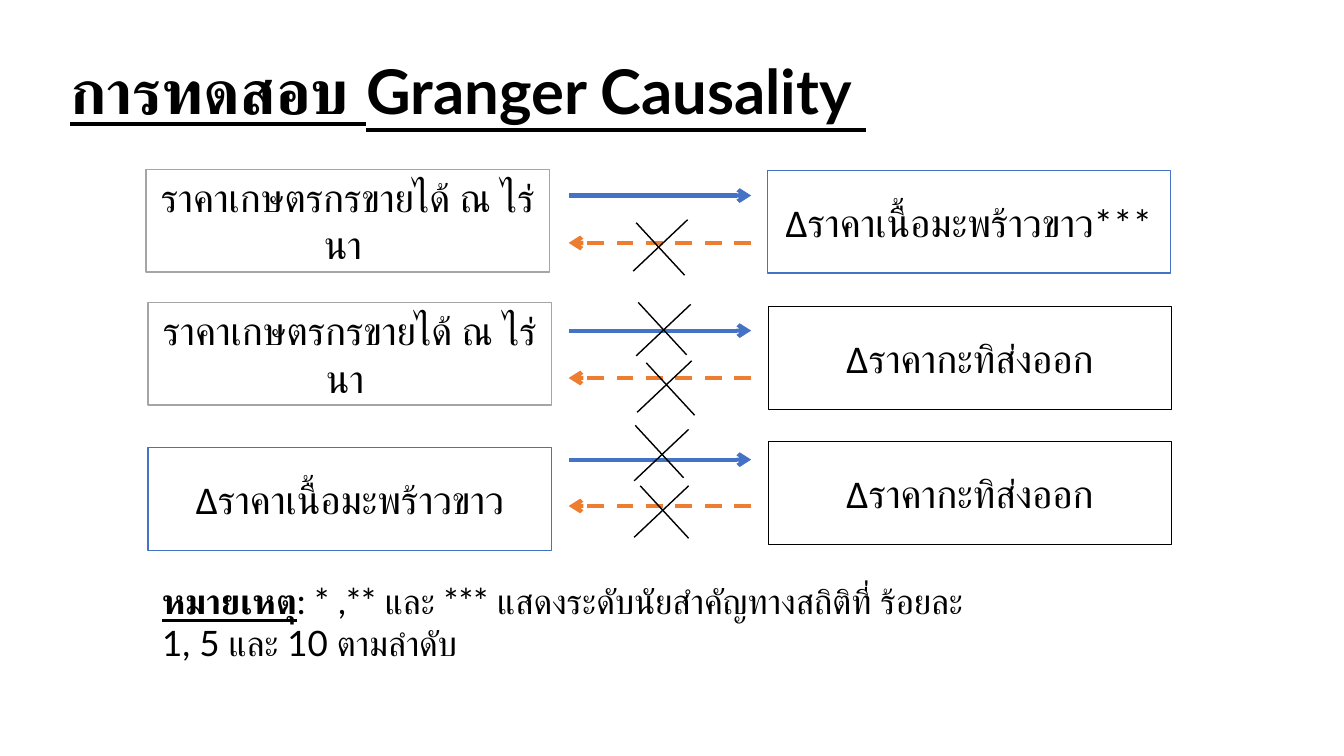
from pptx import Presentation
from pptx import util as u
from pptx.dml.color import RGBColor
from pptx.enum import dml, lang, shapes, text
from pptx.oxml.ns import qn
from lxml import etree

COLORS = {"black": "000000", "white": "FFFFFF", "gray": "A5A5A5",
          "blue": "4472C4", "orange": "ED7D31"}

TITLE = "การทดสอบ Granger Causality "
NOTE_LABEL = "หมายเหตุ"
NOTE = ": * ,** และ *** แสดงระดับนัยสำคัญทางสถิติที่ ร้อยละ 1, 5 และ 10 ตามลำดับ"
FARM_PRICE = "ราคาเกษตรกรขายได้ ณ ไร่นา "
COCONUT_PRICE = "Δราคาเนื้อมะพร้าวขาว"
MILK_PRICE = "Δราคากะทิส่งออก"

BOX_WIDTH, BOX_HEIGHT = 4, 1.02
BOXES = [
    (FARM_PRICE, 1.45, 1.68, "gray", "Arial"),
    (COCONUT_PRICE + "***", 7.61, 1.69, "blue", "Calibri"),
    (FARM_PRICE, 1.47, 3, "gray", "Arial"),
    (MILK_PRICE, 7.62, 3.04, "black", "Calibri"),
    (COCONUT_PRICE, 1.47, 4.44, "blue", "Calibri"),
    (MILK_PRICE, 7.62, 4.38, "black", "Calibri"),
]

ARROW_LEFT, ARROW_RIGHT = 5.64, 7.45
ARROW_ROWS = [(1.94, 2.41), (3.28, 3.75), (4.56, 5.02)]

FALL_WIDTH, FALL_HEIGHT = 0.48, 0.52
RISE_WIDTH, RISE_HEIGHT = 0.54, 0.51
CROSSES = [
    ((6.31, 2.21), (6.28, 2.18)),
    ((6.33, 3), (6.31, 3.02)),
    ((6.41, 3.6), (6.32, 3.58)),
    ((6.3, 4.22), (6.29, 4.26)),
    ((6.35, 4.82), (6.29, 4.82)),
]


def rgb(name):
    return RGBColor.from_string(COLORS[name])


def write(shape, content, size, font, bold=False, underline=False,
          align=text.PP_ALIGN.LEFT, spacing=1.0):
    frame = shape.text_frame
    frame.word_wrap = True
    frame.vertical_anchor = text.MSO_ANCHOR.MIDDLE
    paragraph = frame.paragraphs[0]
    paragraph.alignment = align
    paragraph.line_spacing = spacing
    run = paragraph.add_run()
    run.text = content
    run.font.size = u.Pt(size)
    run.font.name = font
    run.font.bold = bold
    run.font.underline = underline
    run.font.color.rgb = rgb("black")
    run.font.language_id = lang.MSO_LANGUAGE_ID.THAI


def add_text_box(slide, *place):
    return slide.shapes.add_textbox(*map(u.Inches, place))


def add_box(slide, label, left, top, color, font):
    box = slide.shapes.add_shape(
        shapes.MSO_SHAPE.RECTANGLE,
        *map(u.Inches, (left, top, BOX_WIDTH, BOX_HEIGHT)))
    box.shadow.inherit = False
    box.fill.solid()
    box.fill.fore_color.rgb = rgb("white")
    box.line.color.rgb = rgb(color)
    box.line.width = u.Pt(1)
    write(box, label, 28, font, align=text.PP_ALIGN.CENTER)


def add_line(slide, start, end, color="black", width=1, dashed=False, arrow=False):
    line = slide.shapes.add_connector(
        shapes.MSO_CONNECTOR.STRAIGHT, *map(u.Inches, start + end))
    line.line.color.rgb = rgb(color)
    line.line.width = u.Pt(width)
    if dashed:
        line.line.dash_style = dml.MSO_LINE.DASH
    properties = line.element.spPr
    if arrow:
        etree.SubElement(properties.find(qn("a:ln")), qn("a:tailEnd"), type="arrow")
    etree.SubElement(properties, qn("a:effectLst"))


def main():
    presentation = Presentation()
    presentation.slide_width = u.Inches(13.33)
    presentation.slide_height = u.Inches(7.5)
    slide = presentation.slides.add_slide(presentation.slide_layouts[6])

    title = add_text_box(slide, 0.6, 0.21, 11.5, 1.45)
    write(title, TITLE, 44, "Lato", bold=True, underline=True, spacing=0.9)

    for box in BOXES:
        add_box(slide, *box)

    for forward, backward in ARROW_ROWS:
        add_line(slide, (ARROW_LEFT, forward), (ARROW_RIGHT, forward),
                 "blue", 3, arrow=True)
        add_line(slide, (ARROW_RIGHT, backward), (ARROW_LEFT, backward),
                 "orange", 3, dashed=True, arrow=True)

    for (fall_x, fall_y), (rise_x, rise_y) in CROSSES:
        add_line(slide, (fall_x, fall_y), (fall_x + FALL_WIDTH, fall_y + FALL_HEIGHT))
        add_line(slide, (rise_x + RISE_WIDTH, rise_y), (rise_x, rise_y + RISE_HEIGHT))

    note = add_text_box(slide, 1.51, 5.91, 8.35, 0.52)
    write(note, NOTE_LABEL, 25, "Lato", bold=True, underline=True)
    write(note, NOTE, 25, "Lato")

    presentation.save("out.pptx")


if __name__ == "__main__":
    main()
